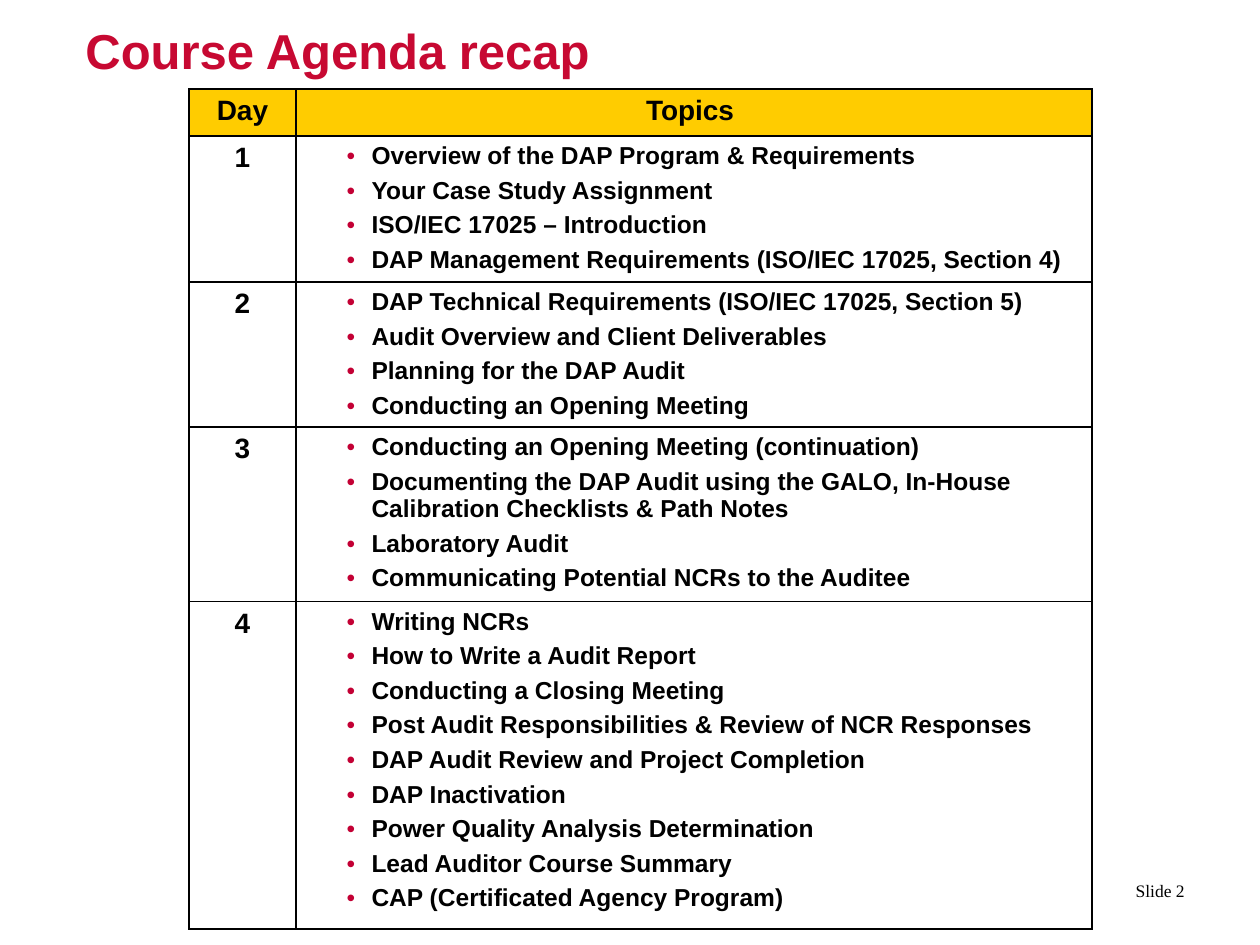
from lxml import etree
from pptx import Presentation
from pptx.dml.color import RGBColor
from pptx.enum.text import MSO_ANCHOR, PP_ALIGN
from pptx.oxml.ns import qn
from pptx.util import Pt

LEFT, CENTER, RIGHT = PP_ALIGN.LEFT, PP_ALIGN.CENTER, PP_ALIGN.RIGHT
TOP, MIDDLE = MSO_ANCHOR.TOP, MSO_ANCHOR.MIDDLE
EMU_PER_PX = 914400 / 126

AGENDA = [
    ("1", ["Overview of the DAP Program & Requirements",
           "Your Case Study Assignment",
           "ISO/IEC 17025 – Introduction",
           "DAP Management Requirements (ISO/IEC 17025, Section 4)"]),
    ("2", ["DAP Technical Requirements (ISO/IEC 17025, Section 5)",
           "Audit Overview and Client Deliverables",
           "Planning for the DAP Audit",
           "Conducting an Opening Meeting"]),
    ("3", ["Conducting an Opening Meeting (continuation)",
           "Documenting the DAP Audit using the GALO, In-House "
           "Calibration Checklists & Path Notes",
           "Laboratory Audit",
           "Communicating Potential NCRs to the Auditee"]),
    ("4", ["Writing NCRs",
           "How to Write a Audit Report",
           "Conducting a Closing Meeting",
           "Post Audit Responsibilities & Review of NCR Responses",
           "DAP Audit Review and Project Completion",
           "DAP Inactivation",
           "Power Quality Analysis Determination",
           "Lead Auditor Course Summary",
           "CAP (Certificated Agency Program)"]),
]


def px(length):
    return round(length * EMU_PER_PX)


def rgb(color):
    return RGBColor.from_string(color)


class AgendaSlide:
    heading_font, footer_font = "Arial", "Times New Roman"
    title_color, bullet_color = "C70932", "C30034"
    ink, header_fill = "000000", "FFCC00"
    border_pt = 0.96

    def __init__(self, slide):
        self.slide = slide

    def style(self, paragraph, size, color, font, bold, align):
        paragraph.alignment = align
        paragraph.font.size = Pt(size)
        paragraph.font.name = font
        paragraph.font.bold = bold
        paragraph.font.color.rgb = rgb(color)

    def text(self, box, words, size, color, font, bold=False, align=LEFT,
             anchor=TOP):
        frame = self.slide.shapes.add_textbox(*map(px, box)).text_frame
        frame.word_wrap = True
        frame.vertical_anchor = anchor
        frame.text = words
        self.style(frame.paragraphs[0], size, color, font, bold, align)

    def table(self, left, top, widths, heights):
        table = self.slide.shapes.add_table(
            len(heights), len(widths), px(left), px(top),
            px(sum(widths)), px(sum(heights))).table
        for column, width in zip(table.columns, widths):
            column.width = px(width)
        for row, height in zip(table.rows, heights):
            row.height = px(height)
        return table

    def label_cell(self, cell, words, fill=None):
        cell.text = words
        self.style(cell.text_frame.paragraphs[0], 16, self.ink,
                   self.heading_font, True, CENTER)
        self.finish_cell(cell, fill)

    def topics_cell(self, cell, topics):
        cell.text = "\n".join(topics)
        paragraphs = cell.text_frame.paragraphs
        for paragraph in paragraphs:
            self.style(paragraph, 14, self.ink, self.heading_font, True, LEFT)
            paragraph.space_before = paragraph.space_after = Pt(2)
            self.bullet(paragraph)
        # Keep the row as low as its lines allow
        paragraphs[-1].space_after = Pt(0)
        cell.margin_bottom = 0
        self.finish_cell(cell)

    def bullet(self, paragraph):
        props = paragraph._p.get_or_add_pPr()
        props.set("marL", str(px(63)))
        props.set("indent", str(px(-25)))
        color = etree.SubElement(props, qn("a:buClr"))
        etree.SubElement(color, qn("a:srgbClr"), val=self.bullet_color)
        etree.SubElement(props, qn("a:buFont"), typeface=self.heading_font)
        etree.SubElement(props, qn("a:buChar"), char="•")
        # Default run properties must follow the bullet settings
        props.append(props.find(qn("a:defRPr")))

    def finish_cell(self, cell, fill=None):
        props = cell._tc.get_or_add_tcPr()
        for side in ("lnL", "lnR", "lnT", "lnB"):
            line = etree.SubElement(props, qn("a:" + side),
                                    w=str(Pt(self.border_pt)))
            solid = etree.SubElement(line, qn("a:solidFill"))
            etree.SubElement(solid, qn("a:srgbClr"), val=self.ink)
        if fill:
            cell.fill.solid()
            cell.fill.fore_color.rgb = rgb(fill)
        else:
            cell.fill.background()


def main():
    deck = Presentation()
    deck.slide_width, deck.slide_height = px(1260), px(945)
    page = AgendaSlide(deck.slides.add_slide(deck.slide_layouts[6]))

    # Title
    page.text((73, 14, 1155, 122), "Course Agenda recap", 28,
              page.title_color, page.heading_font, bold=True)

    # Agenda table
    agenda = page.table(189, 89, [107, 796], [47, 146, 144, 171, 321])
    for column, heading in enumerate(("Day", "Topics ")):
        page.label_cell(agenda.cell(0, column), heading, page.header_fill)
    for row, (day, topics) in enumerate(AGENDA, start=1):
        page.label_cell(agenda.cell(row, 0), day)
        page.topics_cell(agenda.cell(row, 1), topics)

    # Slide number
    page.text((1109, 866, 88, 50), "Slide 2", 10, page.ink,
              page.footer_font, align=RIGHT, anchor=MIDDLE)

    deck.save("out.pptx")


if __name__ == "__main__":
    main()
